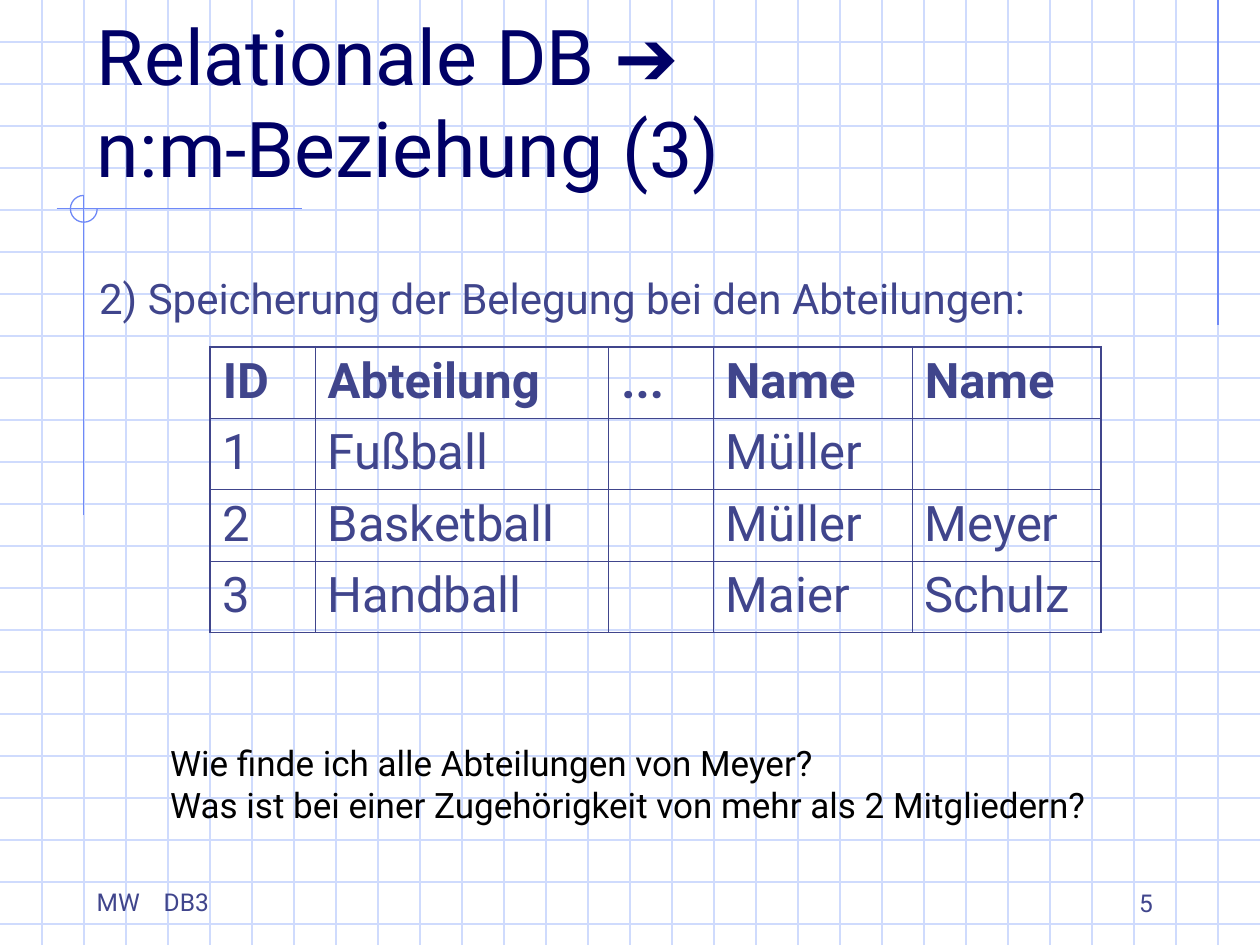
from lxml import etree
from pptx import Presentation
from pptx.dml.color import RGBColor
from pptx.enum.shapes import MSO_CONNECTOR, MSO_SHAPE
from pptx.enum.text import MSO_ANCHOR, MSO_AUTO_SIZE, PP_ALIGN
from pptx.oxml.ns import qn
from pptx.util import Cm, Pt

LINE = MSO_CONNECTOR.STRAIGHT
ARC = MSO_SHAPE.ARC
TOP, BOTTOM = MSO_ANCHOR.TOP, MSO_ANCHOR.BOTTOM
LEFT, RIGHT = PP_ALIGN.LEFT, PP_ALIGN.RIGHT
FIXED = MSO_AUTO_SIZE.NONE

NAVY = RGBColor(0x00, 0x00, 0x66)
SLATE = RGBColor(0x40, 0x45, 0x8C)
BLUE = RGBColor(0x6F, 0x89, 0xF7)
PALE = RGBColor(0xCF, 0xDB, 0xFD)
BLACK = RGBColor(0, 0, 0)

WIDE, HIGH = 25.4, 19.05
STEP = WIDE / 30
COLS = (2.11, 5.92, 2.11, 4.01, 3.81)
ROWS = (
    ("ID", "Abteilung", "...", "Name", "Name"),
    ("1", "Fußball", "", "Müller", ""),
    ("2", "Basketball", "", "Müller", "Meyer"),
    ("3", "Handball", "", "Maier", "Schulz"),
)


def write(para, text, size=14, color=SLATE, face="Roboto", bold=False, align=LEFT, gap=0):
    """Add a formatted run of text to a paragraph."""
    para.alignment = align
    para.space_before = Pt(gap)
    run = para.add_run()
    run.text = text
    font = run.font
    font.size, font.name, font.bold = Pt(size), face, bold
    font.color.rgb = color


def set_frame(frame, anchor=TOP):
    """Give a text frame wrapping, fixed size and an anchor."""
    frame.word_wrap = True
    frame.auto_size = FIXED
    frame.vertical_anchor = anchor


def add_box(slide, box, lines, anchor=TOP, **style):
    """Add a text box with one paragraph per line and return its frame."""
    frame = slide.shapes.add_textbox(*map(Cm, box)).text_frame
    set_frame(frame, anchor)
    for i, line in enumerate(lines):
        para = frame.add_paragraph() if i else frame.paragraphs[0]
        write(para, line, **style)
    return frame


def add_line(slide, x1, y1, x2, y2, color):
    """Draw a thin straight line."""
    line = slide.shapes.add_connector(LINE, Cm(x1), Cm(y1), Cm(x2), Cm(y2))
    line.line.color.rgb = color
    line.line.width = Pt(0.75)
    etree.SubElement(line.element.spPr, qn("a:effectLst"))


def add_grid(slide, wide, high):
    """Cover the slide with squared-paper lines."""
    for i in range(1, int(high / STEP) + 1):
        add_line(slide, 0, i * STEP, wide, i * STEP, PALE)
    for i in range(1, 30):
        add_line(slide, i * STEP, 0, i * STEP, high, PALE)


def add_marks(slide, x, y):
    """Draw the crossing guides around a point and the right-hand guide."""
    add_line(slide, 29 * STEP, 0, 29 * STEP, 6.55, BLUE)
    add_line(slide, x - 0.55, y, x + 4.4, y, BLUE)
    add_line(slide, x, y - 0.27, x, y + 6.18, BLUE)
    ring = slide.shapes.add_shape(ARC, Cm(x - 0.27), Cm(y - 0.27), Cm(0.54), Cm(0.54))
    ring.adjustments[0] = 0
    ring.adjustments[1] = 162
    ring.shadow.inherit = False
    ring.fill.background()
    ring.line.color.rgb = BLUE
    ring.line.width = Pt(0.75)


def add_title(slide, box):
    """Place the title above the grid and fill it."""
    title = slide.shapes.title
    title.left, title.top, title.width, title.height = map(Cm, box)
    title.element.getparent().append(title.element)
    set_frame(title.text_frame, BOTTOM)
    para = title.text_frame.paragraphs[0]
    style = dict(size=44, color=NAVY)
    write(para, "Relationale DB ", **style)
    write(para, "➔", face="Arial", **style)
    para.add_line_break()
    write(para, "n:m-Beziehung (3)", **style)


def set_edge(cell, side, width):
    """Draw one border of a cell."""
    edge = etree.SubElement(cell._tc.get_or_add_tcPr(), qn("a:" + side), w=str(Pt(width)))
    fill = etree.SubElement(edge, qn("a:solidFill"))
    etree.SubElement(fill, qn("a:srgbClr"), val=str(SLATE))


def add_grades(slide, x, y, high):
    """Add the table of departments and their members."""
    last, end = len(ROWS) - 1, len(COLS) - 1
    table = slide.shapes.add_table(
        len(ROWS), len(COLS), Cm(x), Cm(y), Cm(sum(COLS)), Cm(high * len(ROWS))
    ).table
    table.first_row = table.horz_banding = False
    for col, wide in zip(table.columns, COLS):
        col.width = Cm(wide)
    for r, texts in enumerate(ROWS):
        table.rows[r].height = Cm(high)
        for c, text in enumerate(texts):
            cell = table.cell(r, c)
            outer = {"lnL": c == 0, "lnR": c == end, "lnT": r == 0, "lnB": r == last}
            for side, rim in outer.items():
                set_edge(cell, side, 1.08 if rim else 0.45)
            cell.fill.background()
            if text:
                write(cell.text_frame.paragraphs[0], text, size=28, bold=r == 0, gap=7)


def add_foot(slide, x, y):
    """Add the footer with a tab stop and the page number."""
    frame = add_box(slide, (x, y, 5.72, 0.86), ["MW\tDB3"], gap=8.8)
    tabs = etree.SubElement(frame.paragraphs[0]._p.get_or_add_pPr(), qn("a:tabLst"))
    etree.SubElement(tabs, qn("a:tab"), pos=str(Cm(1.35)), algn="l")
    add_box(slide, (x + 16.51, y - 0.4, 5.28, 1.27), ["5"], anchor=BOTTOM, align=RIGHT)


def main():
    """Build the slide and save it."""
    deck = Presentation()
    deck.slide_width, deck.slide_height = Cm(WIDE), Cm(HIGH)
    slide = deck.slides.add_slide(deck.slide_layouts[5])
    add_grid(slide, WIDE, HIGH)
    add_marks(slide, 1.69, 4.21)
    add_foot(slide, 1.7, 17.75)
    add_title(slide, (1.7, 0.84, 21.59, 3.18))
    add_box(slide, (1.75, 5.36, 20.55, 1.27),
            ["2) Speicherung der Belegung bei den Abteilungen:"], size=24)
    add_grades(slide, 4.24, 6.99, 1.44)
    add_box(slide, (3.18, 14.83, 20.19, 1.96),
            ["Wie finde ich alle Abteilungen von Meyer?",
             "Was ist bei einer Zugehörigkeit von mehr als 2 Mitgliedern?"],
            size=20, color=BLACK)
    deck.save("out.pptx")


if __name__ == "__main__":
    main()
